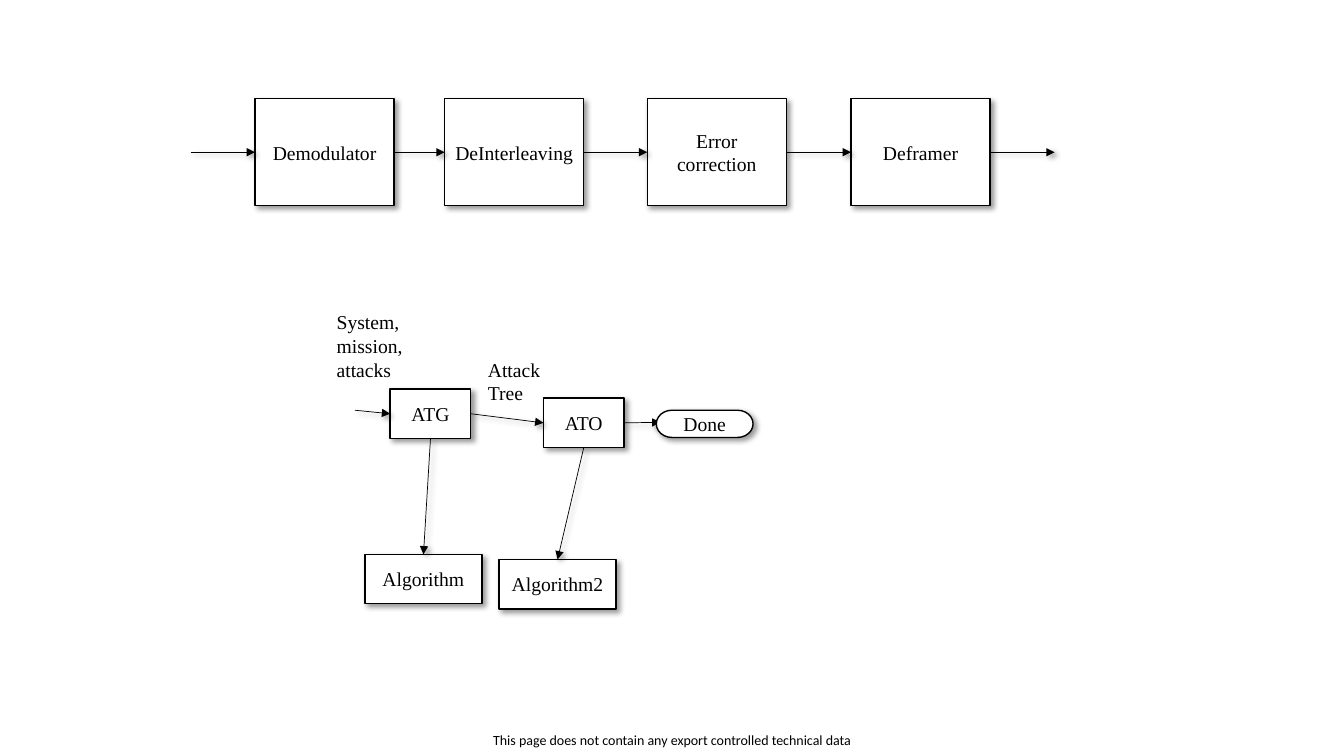
from lxml import etree
from pptx import Presentation
from pptx.dml.color import RGBColor
from pptx.enum.shapes import MSO_CONNECTOR, MSO_SHAPE
from pptx.enum.text import MSO_ANCHOR, PP_ALIGN
from pptx.oxml.ns import qn
from pptx.util import Inches, Pt

RECT, TERMINATOR = MSO_SHAPE.RECTANGLE, MSO_SHAPE.FLOWCHART_TERMINATOR
STRAIGHT = MSO_CONNECTOR.STRAIGHT
LEFT, CENTER = PP_ALIGN.LEFT, PP_ALIGN.CENTER
TOP_ANCHOR, MIDDLE, BOTTOM_ANCHOR = MSO_ANCHOR.TOP, MSO_ANCHOR.MIDDLE, MSO_ANCHOR.BOTTOM
TOP_SITE, LEFT_SITE, BOTTOM_SITE, RIGHT_SITE = range(4)

COLORS = {"ink": "000000", "paper": "FFFFFF"}
SERIF, SANS = "Times New Roman", "Calibri"

# Receiver chain: shared row and box size, in inches
CHAIN_TOP, CHAIN_W, CHAIN_H = 0.98, 1.38, 1.06
CHAIN_MIDDLE = CHAIN_TOP + CHAIN_H / 2
CHAIN = [("Demodulator", 2.53), ("DeInterleaving", 4.41),
         ("Error correction", 6.42), ("Deframer", 8.44)]
CHAIN_LEAD = 0.64

# Attack tree flow: box sizes
TOOL_W, ALGORITHM_W, FLOW_H = 0.8, 1.16, 0.49


def color(name):
    return RGBColor.from_string(COLORS[name])


def add_shadow(element):
    """Soft shadow towards the lower right."""
    props = element._element.spPr
    for old in props.findall(qn("a:effectLst")):
        props.remove(old)
    effects = etree.SubElement(props, qn("a:effectLst"))
    shadow = etree.SubElement(effects, qn("a:outerShdw"), blurRad=str(Pt(4)),
                              dist=str(Pt(3)), dir=str(45 * 60000),
                              algn="tl", rotWithShape="0")
    tint = etree.SubElement(shadow, qn("a:srgbClr"), val=COLORS["ink"])
    etree.SubElement(tint, qn("a:alpha"), val="40000")


def write(frame, text, size=14, font=SERIF, align=CENTER, anchor=MIDDLE, wrap=True):
    frame.word_wrap = wrap
    frame.vertical_anchor = anchor
    paragraph = frame.paragraphs[0]
    paragraph.text = text
    paragraph.alignment = align
    paragraph.font.size = Pt(size)
    paragraph.font.name = font
    paragraph.font.color.rgb = color("ink")


def add_box(slide, text, left, top, width, height, outline=RECT):
    box = slide.shapes.add_shape(outline, Inches(left), Inches(top),
                                 Inches(width), Inches(height))
    box.fill.solid()
    box.fill.fore_color.rgb = color("paper")
    box.line.color.rgb = color("ink")
    box.line.width = Pt(1)
    add_shadow(box)
    write(box.text_frame, text)
    box.text_frame.margin_left = box.text_frame.margin_right = Inches(0.08)
    return box


def add_label(slide, text, left, top, width, height, **style):
    label = slide.shapes.add_textbox(Inches(left), Inches(top),
                                     Inches(width), Inches(height))
    write(label.text_frame, text, **style)


def add_arrow(slide, start=(0, 0), end=(0, 0), source=None, target=None):
    """Arrow between points, or glued to (box, site) at either end."""
    arrow = slide.shapes.add_connector(STRAIGHT, *map(Inches, start + end))
    if source:
        arrow.begin_connect(*source)
    if target:
        arrow.end_connect(*target)
    arrow.line.color.rgb = color("ink")
    arrow.line.width = Pt(0.5)
    etree.SubElement(arrow.line._get_or_add_ln(), qn("a:tailEnd"), type="triangle")
    add_shadow(arrow)


def add_receiver_chain(slide):
    stages = [add_box(slide, name, left, CHAIN_TOP, CHAIN_W, CHAIN_H)
              for name, left in CHAIN]
    entry = CHAIN[0][1] - CHAIN_LEAD
    leaving = CHAIN[-1][1] + CHAIN_W + CHAIN_LEAD
    add_arrow(slide, start=(entry, CHAIN_MIDDLE), target=(stages[0], LEFT_SITE))
    for stage, following in zip(stages, stages[1:]):
        add_arrow(slide, source=(stage, RIGHT_SITE), target=(following, LEFT_SITE))
    add_arrow(slide, end=(leaving, CHAIN_MIDDLE), source=(stages[-1], RIGHT_SITE))


def add_attack_flow(slide):
    atg = add_box(slide, "ATG", 3.87, 3.86, TOOL_W, FLOW_H)
    ato = add_box(slide, "ATO", 5.39, 3.95, TOOL_W, FLOW_H)
    algorithm = add_box(slide, "Algorithm", 3.62, 5.5, ALGORITHM_W, FLOW_H)
    algorithm2 = add_box(slide, "Algorithm2", 4.95, 5.55, ALGORITHM_W, FLOW_H)

    add_arrow(slide, start=(3.52, 4.07), target=(atg, LEFT_SITE))
    add_arrow(slide, source=(atg, RIGHT_SITE), target=(ato, LEFT_SITE))
    for tool, method in ((atg, algorithm), (ato, algorithm2)):
        add_arrow(slide, source=(tool, BOTTOM_SITE), target=(method, TOP_SITE))

    # The arrow tip reaches slightly under the terminator
    add_arrow(slide, end=(6.55, 4.19), source=(ato, RIGHT_SITE))
    add_box(slide, "Done", 6.51, 4.07, 0.96, 0.27, TERMINATOR)

    for text, left, top, height in (("System, mission, attacks", 3.24, 3.03, 0.81),
                                    ("Attack Tree", 4.74, 3.5, 0.57)):
        add_label(slide, text, left, top, 0.95, height, align=LEFT, anchor=TOP_ANCHOR)


def main():
    deck = Presentation()
    deck.slide_width, deck.slide_height = Inches(13.33), Inches(7.5)
    slide = deck.slides.add_slide(deck.slide_layouts[6])
    add_receiver_chain(slide)
    add_attack_flow(slide)
    # Footer
    add_label(slide, "This page does not contain any export controlled technical data",
              4.76, 7.2, 3.81, 0.27, size=10, font=SANS,
              anchor=BOTTOM_ANCHOR, wrap=False)
    deck.save("out.pptx")


main()
